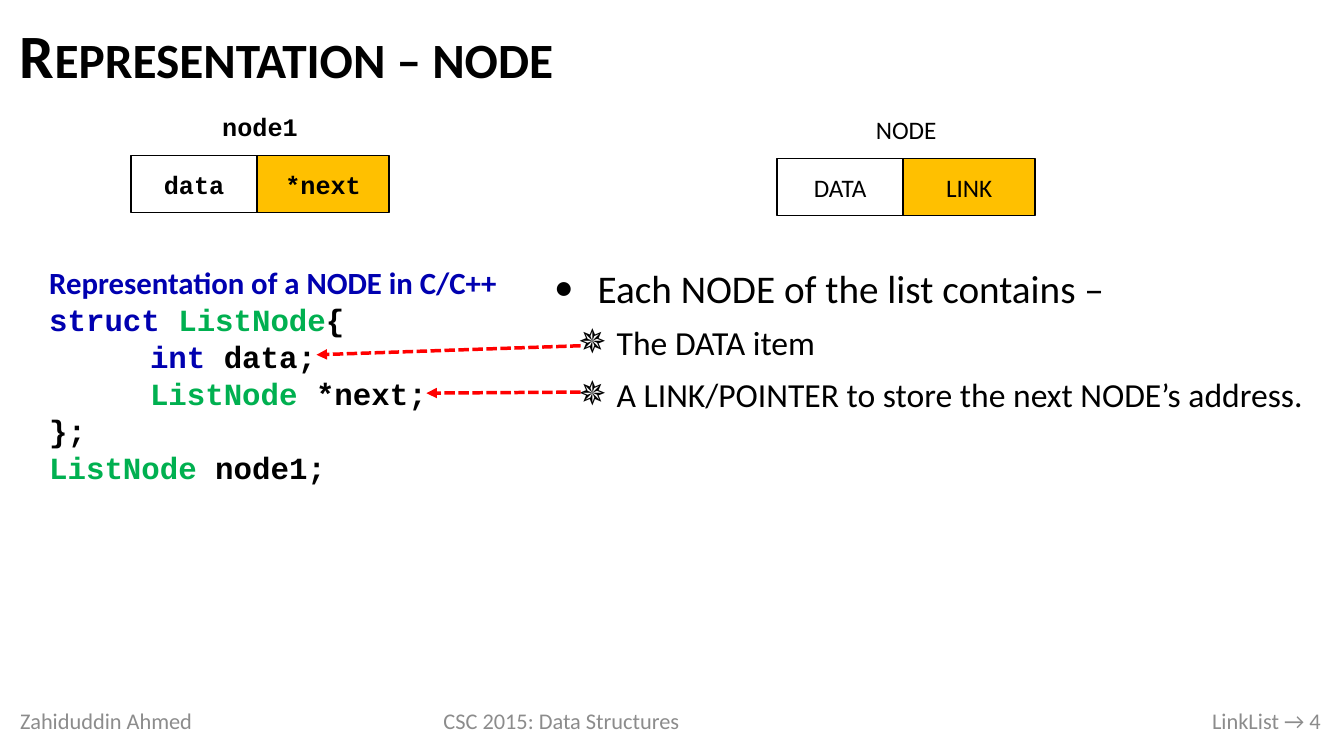
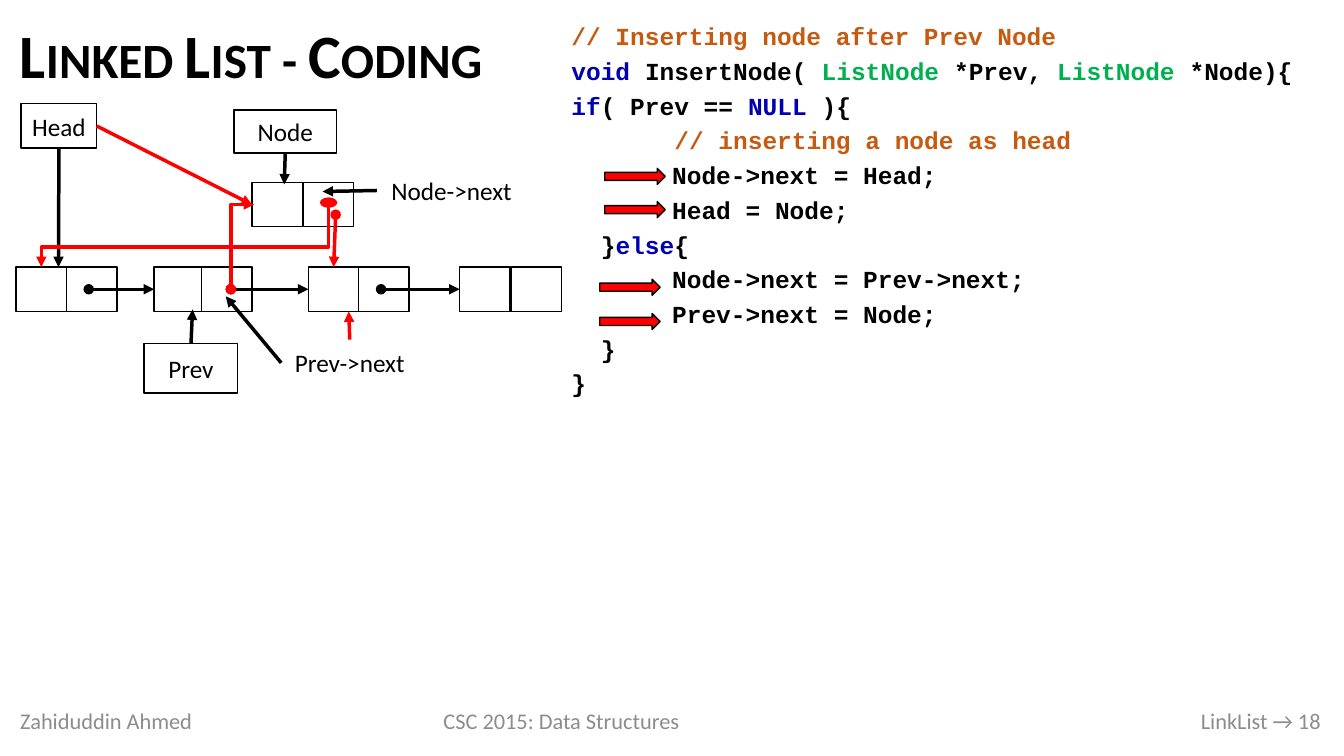
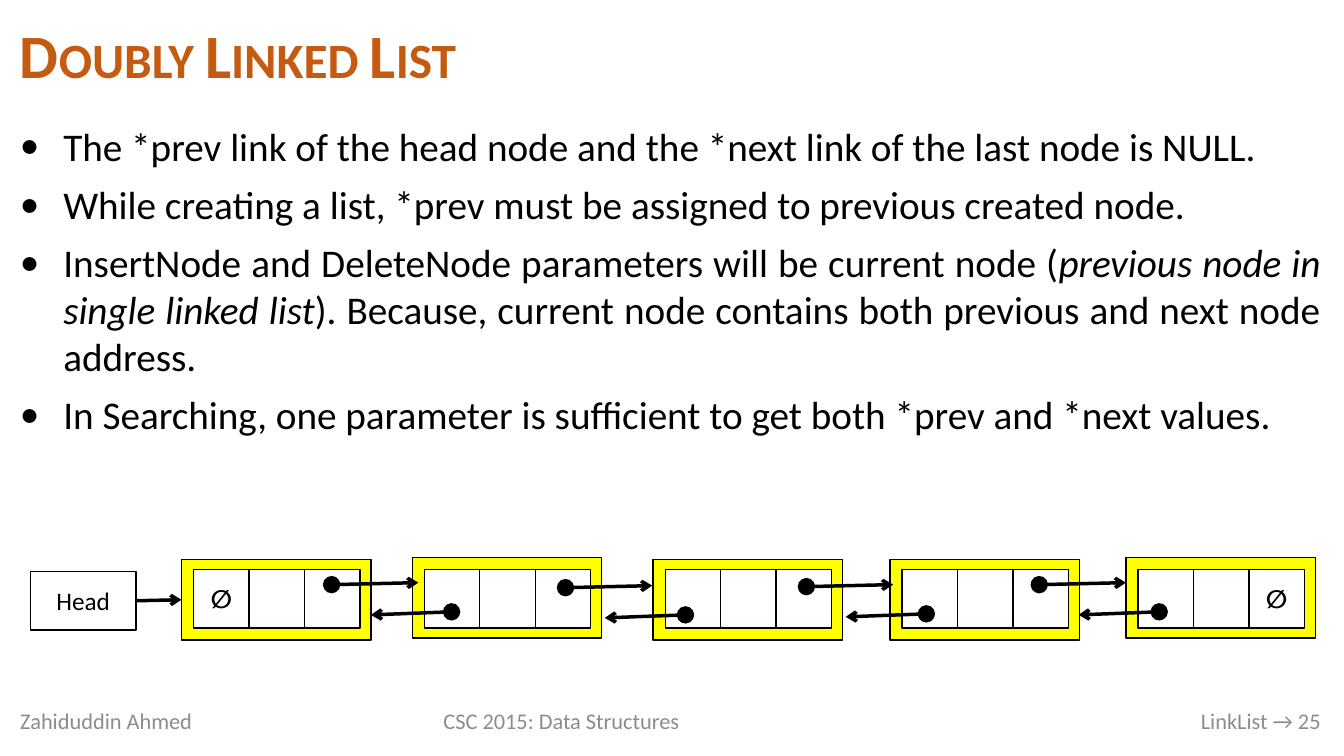
from lxml.etree import SubElement
from pptx import Presentation
from pptx.dml.color import RGBColor
from pptx.enum.dml import MSO_LINE
from pptx.enum.shapes import MSO_CONNECTOR, MSO_SHAPE
from pptx.enum.text import MSO_ANCHOR, PP_ALIGN
from pptx.oxml.ns import qn
from pptx.util import Inches, Pt

# Grid: one column or row is a tenth of an inch
COLUMNS, ROWS = 133.33, 75
BLACK, WHITE, GREY, RED = "000000", "FFFFFF", "8C8C8C", "FF0000"
BLUE, GREEN, ORANGE = "0000B0", "00B050", "C55A11"
GOLD, YELLOW = "FFC000", "FFFF00"
SANS, MONO = "Calibri", "Courier New"
SYNTAX = {"void": BLUE, "if": BLUE, "else": BLUE, "NULL": BLUE,
          "struct": BLUE, "int": BLUE, "ListNode": GREEN}
LEFT, CENTER, RIGHT, JUSTIFY = (PP_ALIGN.LEFT, PP_ALIGN.CENTER,
                                PP_ALIGN.RIGHT, PP_ALIGN.JUSTIFY)
TOP_SIDE, LEFT_SIDE, BOTTOM_SIDE, RIGHT_SIDE = range(4)
# Line ends: type, width, length
TRIANGLE, ARROW = ("triangle", "med", "med"), ("arrow", "med", "med")
DOT, WIDE_DOT, LARGE_DOT = (("oval", "med", "med"), ("oval", "lg", "med"),
                            ("oval", "lg", "lg"))


def grid(*lengths):
    return [Inches(length / 10) for length in lengths]


def colour(value):
    return RGBColor.from_string(value)


def style(font, size, value=BLACK, name=SANS, bold=False):
    font.size, font.name, font.bold = Pt(size), name, bold
    font.color.rgb = colour(value)


def text_box(page, box, anchor=MSO_ANCHOR.TOP):
    frame = page.shapes.add_textbox(*grid(*box)).text_frame
    frame.word_wrap = True
    frame.vertical_anchor = anchor
    return frame


def label(page, box, text, size=18, value=BLACK, name=SANS, bold=False, align=CENTER):
    frame = text_box(page, box, MSO_ANCHOR.MIDDLE)
    frame.text = text
    para = frame.paragraphs[0]
    para.alignment = align
    style(para.runs[0].font, size, value, name, bold)
    return para


def shape(page, box, fill=WHITE, line=BLACK, text="", name=SANS, bold=False,
          kind=MSO_SHAPE.RECTANGLE):
    item = page.shapes.add_shape(kind, *grid(*box))
    item.shadow.inherit = False
    if fill:
        item.fill.solid()
        item.fill.fore_color.rgb = colour(fill)
    else:
        item.fill.background()
    if line:
        item.line.color.rgb = colour(line)
        item.line.width = Pt(1)
    else:
        item.line.fill.background()
    if text:
        frame = item.text_frame
        frame.text = text
        frame.vertical_anchor = MSO_ANCHOR.MIDDLE
        frame.paragraphs[0].alignment = CENTER
        style(frame.paragraphs[0].runs[0].font, 18, BLACK, name, bold)
    return item


def finish_line(line, value, head, tail):
    line.line.color.rgb = colour(value)
    line.line.width = Pt(2.5)
    outline = line.line._get_or_add_ln()
    for tag, end in (("a:headEnd", head), ("a:tailEnd", tail)):
        if end:
            kind, width, length = end
            SubElement(outline, qn(tag), type=kind, w=width, len=length)
    SubElement(line._element.spPr, qn("a:effectLst"))


def link(page, start, end, value=BLACK, head=None, tail=TRIANGLE, dash=None):
    """Straight line; each end is a point (x, y) or a side (shape, site)."""
    joined = [not isinstance(spot[0], (int, float)) for spot in (start, end)]
    points = [(0, 0) if is_side else spot for is_side, spot in zip(joined, (start, end))]
    line = page.shapes.add_connector(MSO_CONNECTOR.STRAIGHT, *grid(*points[0], *points[1]))
    if joined[0]:
        line.begin_connect(*start)
    if joined[1]:
        line.end_connect(*end)
    if dash:
        line.line.dash_style = dash
    finish_line(line, value, head, tail)


def elbow(page, start, end, preset, head=None):
    """Bent line that leaves its start vertically: a quarter-turned elbow."""
    mid_x, mid_y = (start[0] + end[0]) / 2, (start[1] + end[1]) / 2
    turned = [length for x, y in (start, end)
              for length in (mid_x + y - mid_y, mid_y - x + mid_x)]
    line = page.shapes.add_connector(MSO_CONNECTOR.ELBOW, *grid(*turned))
    properties = line._element.spPr
    properties.find(qn("a:xfrm")).set("rot", "5400000")
    properties.find(qn("a:prstGeom")).set("prst", preset)
    finish_line(line, RED, head, TRIANGLE)


def space(para, first, line=1.0):
    para.alignment = JUSTIFY
    para.line_spacing = line
    para.space_before = Pt(0 if first else 4)
    para.space_after = Pt(4)


def paragraph_at(frame, index):
    return frame.add_paragraph() if index else frame.paragraphs[0]


def add_code_line(para, text, size):
    # One tab stop, an inch in
    stops = SubElement(para._p.get_or_add_pPr(), qn("a:tabLst"))
    SubElement(stops, qn("a:tab"), pos=str(Inches(1)), algn="l")
    # "|" separates the differently coloured pieces
    for piece in text.split("|"):
        span = para.add_run()
        span.text = piece
        value = ORANGE if piece.startswith("//") else SYNTAX.get(piece.strip(), BLACK)
        style(span.font, size, value, MONO, True)


def bullets(page, box, items):
    """Items are (level, text); "|" switches italics on and off."""
    frame = text_box(page, box)
    for index, (level, text) in enumerate(items):
        mark, margin, indent, size = (("•", 0.43, 0.43, 28), ("✵", 0.62, 0.38, 24))[level]
        para = paragraph_at(frame, index)
        properties = para._p.get_or_add_pPr()
        properties.set("marL", str(Inches(margin)))
        properties.set("indent", str(-Inches(indent)))
        SubElement(SubElement(properties, qn("a:buClr")), qn("a:srgbClr"), val=BLACK)
        SubElement(properties, qn("a:buFont"), typeface=SANS)
        SubElement(properties, qn("a:buChar"), char=mark)
        para.level = level
        space(para, index == 0)
        for position, piece in enumerate(text.split("|")):
            span = para.add_run()
            span.text = piece
            style(span.font, size)
            span.font.italic = position % 2 == 1


def new_page(deck, title, number, value=BLACK):
    """Blank page with the shared title and footer."""
    page = deck.slides.add_slide(deck.slide_layouts[6])
    heading = label(page, (1, 1.1, 131, 9.5), title, 44, value, bold=True, align=LEFT)
    heading.line_spacing = 0.9
    heading.runs[0].font._element.set("cap", "small")
    for left, width, text, align in ((1, 24.1, "Zahiduddin Ahmed", LEFT),
                                     (38.9, 33.6, "CSC 2015: Data Structures", CENTER),
                                     (77.1, 54.9, f"LinkList → {number}", RIGHT)):
        label(page, (left, 69.5, width, 4), text, 16, GREY, align=align)
    return page


def node_figure(page, box, caption, data, pointer, name=SANS, bold=False):
    """Caption over a data cell and a pointer cell."""
    left, top, width, height = box
    half, split = height / 2, 12.5
    label(page, (left, top, width, half), caption, name=name, bold=bold)
    shape(page, (left, top + half, split, half), None, text=data, name=name, bold=bold)
    shape(page, (left + split, top + half, width - split, half), GOLD,
          text=pointer, name=name, bold=bold)


def struct_listing(page, box):
    frame = text_box(page, box)
    frame.text = "Representation of a NODE in C/C++"
    style(frame.paragraphs[0].runs[0].font, 22, BLUE, bold=True)
    for text in ("struct |ListNode|{", "\t|int| data;", "\t|ListNode| *next;",
                 "};", "ListNode| node1;"):
        add_code_line(frame.add_paragraph(), text, 22)


def insert_listing(page, box):
    """Code with block arrows beside the key statements."""
    frame = text_box(page, box)
    for index, text in enumerate((
            "// Inserting node after Prev Node",
            "void |InsertNode( |ListNode| *Prev, |ListNode| *Node){",
            "if|( Prev == |NULL| ){",
            "       |// inserting a node as head",
            "  \tNode->next = Head;",
            "\tHead = Node;",
            "  }|else|{",
            "  \tNode->next = Prev->next;",
            "  \tPrev->next = Node;",
            "  }",
            "}")):
        para = paragraph_at(frame, index)
        space(para, index == 0, 0.8)
        add_code_line(para, text, 17.5)
    for column, row in ((4.3, 14.5), (4.3, 17.8), (3.8, 25.5), (3.8, 28.9)):
        shape(page, (box[0] + column, box[1] + row, 6, 1.6), RED,
              kind=MSO_SHAPE.RIGHT_ARROW)


def insertion_diagram(page, box):
    """Singly linked list with a node being inserted after Prev."""
    left, top = box

    def at(column, row):
        return left + column, top + row

    def cells(column, row, pitch=5):
        return [shape(page, (*at(column + step * pitch, row), 5, 4.4)) for step in (0, 1)]

    # Boxes
    head = shape(page, (*at(2.1, 0.3), 7.5, 4.4), text="Head")
    nodes = [cells(column, 16.5, pitch)
             for column, pitch in ((1.6, 5), (15.3, 4.7), (30.6, 5), (45.6, 5.1))]
    added = cells(25, 8.1, 5.1)
    prev = shape(page, (*at(14.3, 24.1), 9.3, 4.9), text="Prev")
    node = shape(page, (*at(23.2, 0.9), 10.2, 4.3), text="Node")
    node_next = shape(page, (*at(37.4, 6.6), 14.8, 4.6), line=None, text="Node->next")
    prev_next = shape(page, (*at(27.9, 23.7), 13.6, 4.6), line=None, text="Prev->next")

    # Existing links
    for column, target in zip((8.8, 22.9, 37.8), nodes[1:]):
        link(page, at(column, 18.7), (target[0], LEFT_SIDE), head=DOT)

    # Pointers from the labels
    link(page, (head, BOTTOM_SIDE), at(5.8, 16.5))
    link(page, (node, BOTTOM_SIDE), at(28.2, 8.3))
    link(page, (prev, TOP_SIDE), at(19.1, 20.7))
    link(page, (node_next, LEFT_SIDE), at(32, 9))
    link(page, (prev_next, LEFT_SIDE), at(22.4, 19.4))
    link(page, (prev_next, TOP_SIDE), at(34.6, 20.9), RED)

    # New links
    elbow(page, at(22.9, 18.7), at(25.2, 10.3), "bentConnector2", DOT)
    link(page, at(33.3, 11.3), at(33.1, 16.5), RED, head=DOT)
    elbow(page, at(32.6, 12.5), at(4.1, 16.5), "bentConnector3")
    link(page, (added[1], BOTTOM_SIDE), at(32.6, 10.1), RED, tail=WIDE_DOT)
    link(page, (head, RIGHT_SIDE), (added[0], LEFT_SIDE), RED)


def doubly_linked_diagram(page, box):
    """Head followed by five framed nodes with links both ways."""
    left, top = box
    head = shape(page, (left, top + 1.4, 10.5, 5.8), text="Head")
    frames = []
    for index, (column, row) in enumerate(((15, 0.2), (37.9, 0), (61.8, 0.2),
                                           (85.3, 0.2), (108.7, 0))):
        frames.append(shape(page, (left + column, top + row, 18.8, 8), YELLOW))
        for cell in range(3):
            empty = (index, cell) in ((0, 0), (4, 2))
            shape(page, (left + column + 1.2 + cell * 5.5, top + 1.2, 5.5, 5.8),
                  text="∅" if empty else "", bold=True)
    # Each pair of links is placed from the dot of its forward link
    for column, row in ((29.9, 2.7), (53.1, 3), (77, 2.9), (100.1, 2.7)):
        x, y = left + column, top + row
        link(page, (x, y), (x + 8.6, y - 0.2), head=LARGE_DOT, tail=ARROW)
        link(page, (x + 11.9, y + 2.7), (x + 3.9, y + 3), head=LARGE_DOT, tail=ARROW)
    link(page, (head, RIGHT_SIDE), (frames[0], LEFT_SIDE), tail=ARROW)


def representation_page(deck):
    page = new_page(deck, "Representation – node", 4)
    bullets(page, (54, 25.7, 80.4, 20.1), (
        (0, "Each NODE of the list contains –"),
        (1, "The DATA item"),
        (1, "A LINK/POINTER to store the next NODE’s address.")))
    node_figure(page, (77.1, 10, 25.6, 11.4), "NODE", "DATA", "LINK")
    node_figure(page, (13, 9.7, 25.6, 11.4), "node1", "data", "*next", MONO, True)
    struct_listing(page, (3.9, 25.7, 55, 23.2))
    for start, end in (((57.6, 34.3), (31.4, 35.2)), ((57.6, 38.9), (42.3, 39))):
        link(page, start, end, RED, dash=MSO_LINE.SQUARE_DOT)


def coding_page(deck):
    page = new_page(deck, "Linked List - Coding", 18)
    insert_listing(page, (55.7, 2.2, 76.1, 40.3))
    insertion_diagram(page, (0, 10))


def doubly_linked_page(deck):
    page = new_page(deck, "Doubly Linked List", 25, ORANGE)
    bullets(page, (1, 11.6, 131, 39.7), (
        (0, "The *prev link of the head node and the *next link of the last node is NULL."),
        (0, "While creating a list, *prev must be assigned to previous created node."),
        (0, "InsertNode and DeleteNode parameters will be current node ("
            "|previous node in single linked list|"
            "). Because, current node contains both previous and next node address."),
        (0, "In Searching, one parameter is sufficient to get both *prev and *next values.")))
    doubly_linked_diagram(page, (3, 55.3))


def main():
    deck = Presentation()
    deck.slide_width, deck.slide_height = grid(COLUMNS, ROWS)
    representation_page(deck)
    coding_page(deck)
    doubly_linked_page(deck)
    deck.save("out.pptx")


if __name__ == "__main__":
    main()
